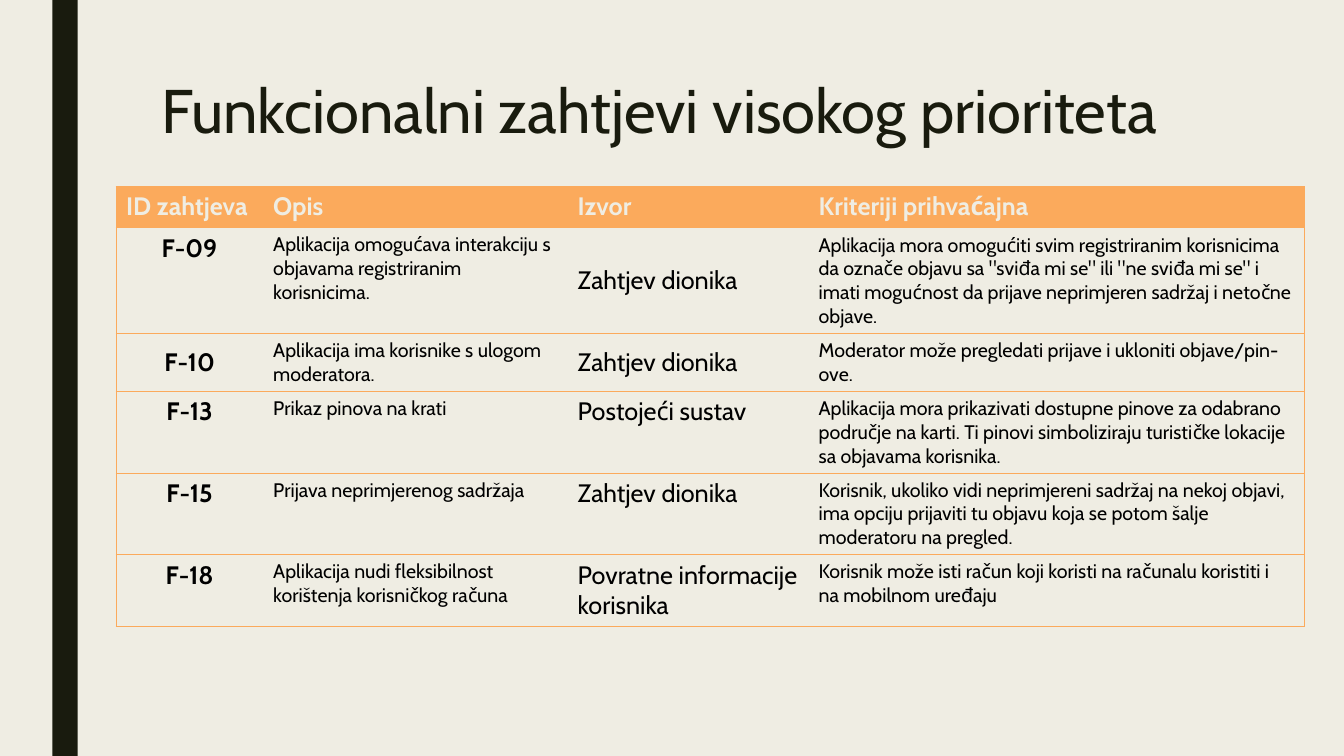
import pptx
import pptx.util
import pptx.dml.color
import pptx.enum.shapes
import pptx.enum.text
import pptx.oxml
import pptx.oxml.ns
from pptx.util import Inches, Pt

RGBColor = pptx.dml.color.RGBColor
CREAM = RGBColor(0xEF, 0xED, 0xE3)
DARK = RGBColor(0x19, 0x1B, 0x0E)
ORANGE = RGBColor(0xFB, 0xAA, 0x5C)
BLACK = RGBColor(0, 0, 0)
FONT = "Cabin"
NO_STYLE = "{2D5ABB26-0587-4C30-8999-92F81FD0307C}"

TITLE = "Funkcionalni zahtjevi visokog prioriteta"
ROWS = [
    ("ID zahtjeva", "Opis", "Izvor", "Kriteriji prihvaćajna"),
    ("F-09", "Aplikacija omogućava interakciju s objavama registriranim korisnicima.",
     "Zahtjev dionika",
     "Aplikacija mora omogućiti svim registriranim korisnicima da označe objavu sa "
     "\"sviđa mi se\" ili \"ne sviđa mi se\" i imati mogućnost da prijave neprimjeren "
     "sadržaj i netočne objave."),
    ("F-10", "Aplikacija ima korisnike s ulogom moderatora.", "Zahtjev dionika",
     "Moderator može pregledati prijave i ukloniti objave/pin-ove."),
    ("F-13", "Prikaz pinova na krati", "Postojeći sustav",
     "Aplikacija mora prikazivati dostupne pinove za odabrano područje na karti. "
     "Ti pinovi simboliziraju turističke lokacije sa objavama korisnika."),
    ("F-15", "Prijava neprimjerenog sadržaja", "Zahtjev dionika",
     "Korisnik, ukoliko vidi neprimjereni sadržaj na nekoj objavi, ima opciju "
     "prijaviti tu objavu koja se potom šalje moderatoru na pregled."),
    ("F-18", "Aplikacija nudi fleksibilnost korištenja korisničkog računa",
     "Povratne informacije korisnika",
     "Korisnik može isti račun koji koristi na računalu koristiti i na mobilnom uređaju"),
]
COL_WIDTHS = [1.46, 3.02, 2.39, 4.92]
ROW_HEIGHTS = [0.41, 1.05, 0.57, 0.81, 0.81, 0.71]
BODY_SIZES = [18, 14, 18, 14]
MIDDLE_CELLS = {(1, 2), (1, 3), (2, 0), (2, 1), (2, 2), (2, 3)}


def format_run(p, size, color, bold=False):
    font = p.runs[0].font
    font.name, font.size, font.bold = FONT, Pt(size), bold
    font.color.rgb = color


def set_borders(cell, visible):
    tcPr = cell._tc.get_or_add_tcPr()
    for side in "LRTB":
        line = (f'<a:solidFill><a:srgbClr val="{ORANGE}"/></a:solidFill>'
                if side in visible else "<a:noFill/>")
        tcPr.append(pptx.oxml.parse_xml(
            f'<a:ln{side} {pptx.oxml.ns.nsdecls("a")} w="{Pt(0.5)}">{line}</a:ln{side}>'))


def add_title(s):
    sp = s.shapes.title
    sp.left, sp.top, sp.width, sp.height = map(Inches, (1.5, 0.75, 10.5, 1.62))
    tf = sp.text_frame
    tf.text = TITLE
    tf.word_wrap = True
    tf.auto_size = pptx.enum.text.MSO_AUTO_SIZE.NONE
    tf.vertical_anchor = pptx.enum.text.MSO_ANCHOR.TOP
    p = tf.paragraphs[0]
    p.alignment = pptx.enum.text.PP_ALIGN.LEFT
    p.line_spacing = 0.89
    format_run(p, 44, DARK)


def add_requirements(s):
    frame = s.shapes.add_table(len(ROWS), len(COL_WIDTHS), Inches(1.15), Inches(1.85),
                               Inches(sum(COL_WIDTHS)), Inches(sum(ROW_HEIGHTS)))
    table = frame.table
    table.horz_banding = False
    table._tbl.tblPr.find(pptx.oxml.ns.qn("a:tableStyleId")).text = NO_STYLE
    for column, width in zip(table.columns, COL_WIDTHS):
        column.width = Inches(width)
    for row, height in zip(table.rows, ROW_HEIGHTS):
        row.height = Inches(height)
    last = len(COL_WIDTHS) - 1
    for i, texts in enumerate(ROWS):
        header = i == 0
        for j, text in enumerate(texts):
            cell = table.cell(i, j)
            set_borders(cell, "TB" + "L" * (j == 0) + "R" * (j == last))
            if header:
                cell.fill.solid()
                cell.fill.fore_color.rgb = ORANGE
            else:
                cell.fill.background()
            if (i, j) in MIDDLE_CELLS:
                cell.vertical_anchor = pptx.enum.text.MSO_ANCHOR.MIDDLE
            cell.text_frame.text = text
            p = cell.text_frame.paragraphs[0]
            if j == 0 and not header:
                p.alignment = pptx.enum.text.PP_ALIGN.CENTER
            format_run(p, 18 if header else BODY_SIZES[j],
                       CREAM if header else BLACK, header or j == 0)


def main():
    prs = pptx.Presentation()
    prs.slide_width, prs.slide_height = Inches(13.33), Inches(7.5)
    s = prs.slides.add_slide(prs.slide_layouts[5])
    s.background.fill.solid()
    s.background.fill.fore_color.rgb = CREAM
    bar = s.shapes.add_shape(pptx.enum.shapes.MSO_SHAPE.RECTANGLE,
                             Inches(0.52), 0, Inches(0.25), prs.slide_height)
    bar.shadow.inherit = False
    bar.fill.solid()
    bar.fill.fore_color.rgb = DARK
    bar.line.fill.background()
    add_title(s)
    add_requirements(s)
    prs.save("out.pptx")


if __name__ == "__main__":
    main()
